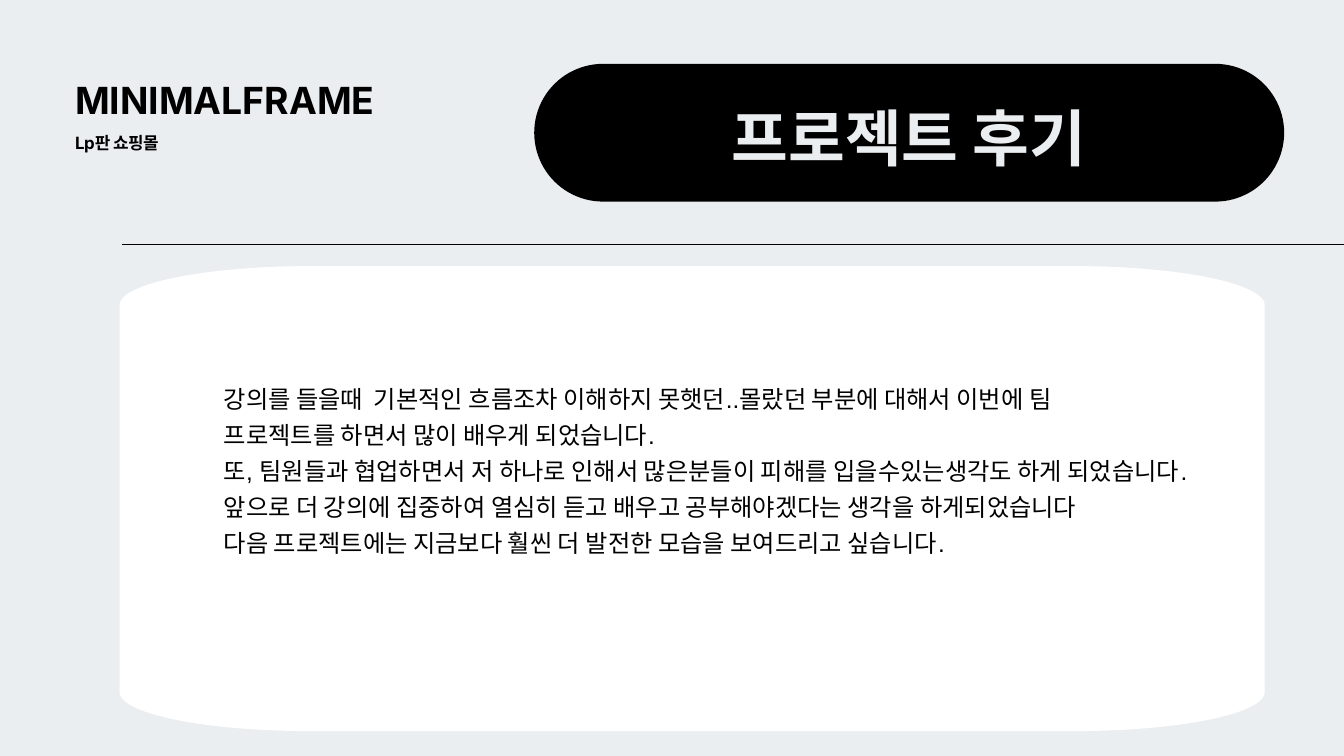
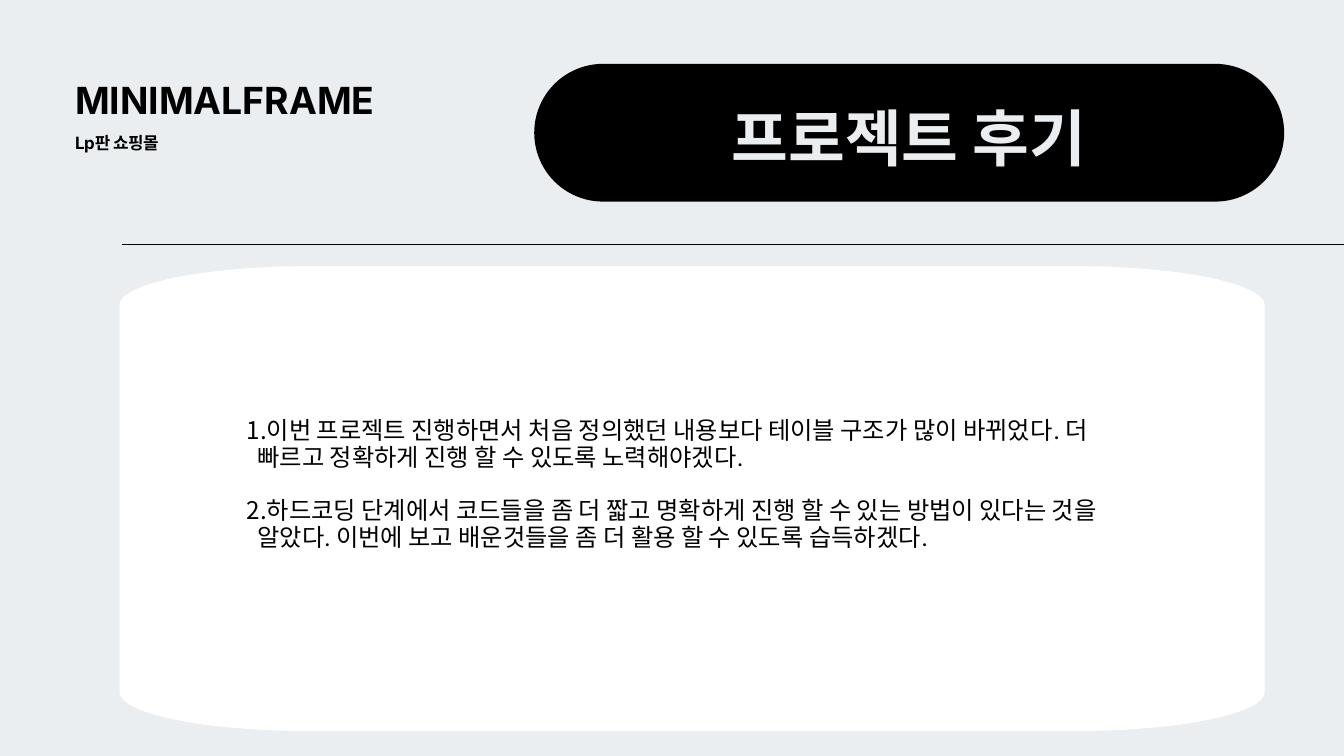
from math import cos, pi, sin

from lxml.etree import SubElement
from pptx import Presentation
from pptx.dml.color import RGBColor
from pptx.enum.shapes import MSO_CONNECTOR, MSO_SHAPE
from pptx.enum.text import MSO_AUTO_SIZE, PP_ALIGN
from pptx.oxml.ns import qn
from pptx.util import Inches, Pt

WIDTH, HEIGHT = 20, 11.25
PAPER, INK, WHITE = "EBEEF0", "000000", "FFFFFF"

HEADER_BOX = (1.12, 0.95, 17.99, 2.05)
PANEL_BOX = (1.78, 3.96, 17.04, 6.92)
CORNER = (2.84, 0.58)
RULE_LEFT, RULE_TOP = 1.81, 3.64

BRAND = {"name": "Inter", "size": Pt(40), "bold": True}
TAGLINE = {"name": "Inter", "size": Pt(18.1), "bold": True}
TITLE = {"name": "Inter", "size": Pt(66.1), "bold": True}
BODY = {"name": "Arial", "size": Pt(26)}
LIST = {"name": "Calibri", "size": Pt(26)}

REVIEW = [
    "강의를 들을때  기본적인 흐름조차 이해하지 못햇던..몰랐던 부분에 대해서 이번에 팀",
    "프로젝트를 하면서 많이 배우게 되었습니다.",
    "또, 팀원들과 협업하면서 저 하나로 인해서 많은분들이 피해를 입을수있는생각도 하게 되었습니다.",
    "앞으로 더 강의에 집중하여 열심히 듣고 배우고 공부해야겠다는 생각을 하게되었습니다",
    "다음 프로젝트에는 지금보다 훨씬 더 발전한 모습을 보여드리고 싶습니다.",
]
LESSONS = [
    "이번 프로젝트 진행하면서 처음 정의했던 내용보다 테이블 구조가 많이 바뀌었다. 더 빠르고 정확하게 진행 할 수 있도록 노력해야겠다.",
    "하드코딩 단계에서 코드들을 좀 더 짧고 명확하게 진행 할 수 있는 방법이 있다는 것을 알았다. 이번에 보고 배운것들을 좀 더 활용 할 수 있도록 습득하겠다.",
]


def color(value):
    return RGBColor.from_string(value)


def paint(shape, fill):
    shape.shadow.inherit = False
    shape.fill.solid()
    shape.fill.fore_color.rgb = color(fill)
    shape.line.fill.background()


def number(para):
    para.level = 1
    props = para._p.get_or_add_pPr()
    props.set("marL", str(Inches(0.32)))
    props.set("indent", str(Inches(-0.16)))
    SubElement(props, qn("a:buAutoNum"), type="arabicPeriod")


def add_text(page, box, lines, style, leading, ink=INK, align=PP_ALIGN.LEFT,
             numbered=False, gap=0, tracking=None):
    frame = page.shapes.add_textbox(*map(Inches, box)).text_frame
    layout = {"word_wrap": True, "auto_size": MSO_AUTO_SIZE.SHAPE_TO_FIT_TEXT,
              "margin_left": 0, "margin_top": 0, "margin_right": 0, "margin_bottom": 0}
    for key, value in layout.items():
        setattr(frame, key, value)
    for index, line in enumerate(lines):
        para = frame.add_paragraph() if index else frame.paragraphs[0]
        para.alignment = align
        para.line_spacing = Pt(leading)
        if index and gap:
            para.space_before = Pt(gap)
        if numbered:
            number(para)
        span = para.add_run()
        span.text = line
        for key, value in style.items():
            setattr(span.font, key, value)
        span.font.color.rgb = color(ink)
        if tracking:
            span._r.get_or_add_rPr().set("spc", str(tracking))


def add_header(page, box):
    left, top, width, height = box
    add_text(page, (left, top + 0.09, 4.77, 0.74), ["MINIMALFRAME"], BRAND, 56)
    add_text(page, (left, top + 1.03, 4, 0.3), ["Lp판 쇼핑몰"], TAGLINE, 21.8, tracking=-60)
    pill_width = 11.16
    pill_left = left + width - pill_width
    pill = page.shapes.add_shape(MSO_SHAPE.ROUNDED_RECTANGLE,
                                 *map(Inches, (pill_left, top, pill_width, height)))
    pill.adjustments[0] = 0.5
    paint(pill, INK)
    add_text(page, (pill_left + 0.65, top + 0.35, 9.85, 1.23), ["프로젝트 후기"],
             TITLE, 92.6, PAPER, PP_ALIGN.CENTER)


def add_rule(page, left, top):
    rule = page.shapes.add_connector(MSO_CONNECTOR.STRAIGHT, Inches(left), Inches(top),
                                     Inches(WIDTH), Inches(top))
    rule.line.color.rgb = color(INK)
    rule.line.width = Pt(0.75)
    SubElement(rule._element.spPr, qn("a:effectLst"))


def add_panel(page, box, steps=24):
    left, top, width, height = box
    across, down = CORNER
    right, bottom = left + width, top + height
    centers = [(right - across, bottom - down), (left + across, bottom - down),
               (left + across, top + down), (right - across, top + down)]
    points = []
    for quarter, (x, y) in enumerate(centers):
        for step in range(steps + 1):
            angle = (quarter + step / steps) * pi / 2
            points.append((Inches(x + across * cos(angle)), Inches(y + down * sin(angle))))
    outline = page.shapes.build_freeform(*points[0])
    outline.add_line_segments(points[1:], close=True)
    paint(outline.convert_to_shape(), WHITE)


def add_review_page(deck):
    page = deck.slides.add_slide(deck.slide_layouts[6])
    page.background.fill.solid()
    page.background.fill.fore_color.rgb = color(PAPER)
    add_panel(page, PANEL_BOX)
    add_rule(page, RULE_LEFT, RULE_TOP)
    add_header(page, HEADER_BOX)
    return page


def add_review(page, box):
    left, top = box[:2]
    add_text(page, (left + 1.55, top + 1.66, 14.27, 3.15), REVIEW, BODY, 38.4)


def add_lessons(page, box):
    left, top = box[:2]
    add_text(page, (left + 1.73, top + 2.25, 13.58, 2.03), LESSONS, LIST, 28.8,
             numbered=True, gap=28.8)


def main():
    deck = Presentation()
    deck.slide_width, deck.slide_height = Inches(WIDTH), Inches(HEIGHT)
    for add_content in (add_review, add_lessons):
        add_content(add_review_page(deck), PANEL_BOX)
    deck.save("out.pptx")


if __name__ == "__main__":
    main()
